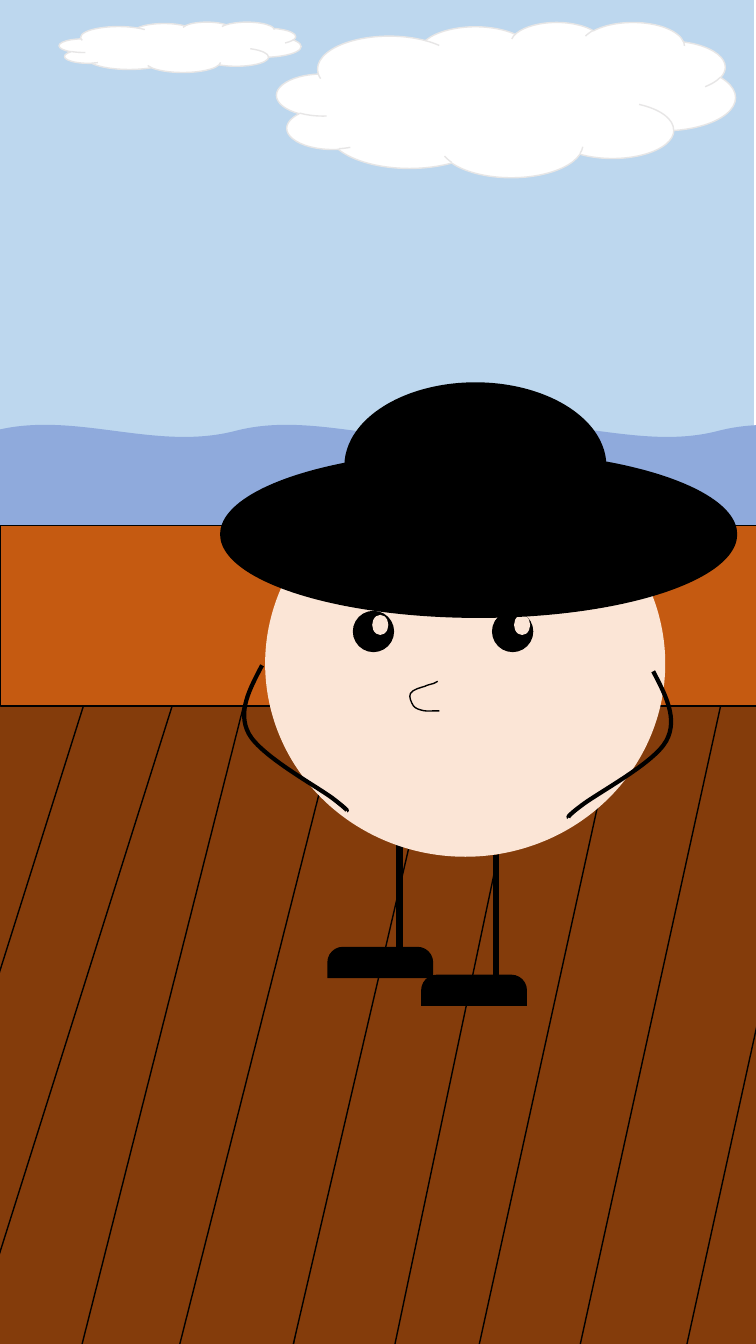
from dataclasses import dataclass

from lxml.etree import SubElement
from pptx import Presentation
from pptx.dml.color import RGBColor
from pptx.enum.shapes import MSO_CONNECTOR, MSO_SHAPE
from pptx.oxml.ns import qn
from pptx.util import Pt


@dataclass(frozen=True)
class Theme:
    sky: str = "BDD7EE"
    cloud: str = "FFFFFF"
    cloud_edge: str = "E7E6E6"
    sea: str = "8FAADC"
    plank: str = "843C0B"
    wall: str = "C55A11"
    skin: str = "FBE5D6"
    ink: str = "000000"
    thin: float = 1
    arm: float = 3
    leg: float = 4.5


THEME = Theme()

# Scenery: left, top, width, height
SKY = (-1.4, -2.2, 540, 960)
CLOUDS = [(197.7, 15.7, 327.6, 110.9), (42.3, 15.7, 172.8, 36)]
WALL = (0.2, 375.4, 541.4, 128.9)
WAVE_SIZE = (344.9, 72)
WAVE_ROWS = [(-4.3, 303.3), (-64.8, 324)]

# Floor planks: left, top, width, height, rotation
PLANKS = [
    (248.4, 494.6, 97.2, 528.5, 10.7),
    (321.1, 489.6, 73.4, 578.9, 11.9),
    (385.9, 486.7, 77, 559.4, 12.4),
    (177.1, 481, 80.6, 535, 13.1),
    (41.8, 486.7, 74.9, 490.3, 14.3),
    (115.2, 470.2, 67.7, 541.4, 14.2),
    (-55.4, 468.7, 58.3, 458.6, 16.2),
    (-5, 484.6, 60.5, 458.6, 17.5),
    (455.8, 496.8, 77, 559.4, 12.4),
    (523.4, 535.7, 77, 559.4, 12.4),
]

# Character
LEG_LENGTH = 98.6
LEG_TOPS = [(354.2, 610.6), (285.4, 596.2)]
HEAD = (189.4, 336.2, 285.8, 275.8)
SHOES = [(233.8, 676.3, 75.6, 22.3), (300.8, 696.2, 75.6, 22.3)]
EYES = [(351.4, 436.3, 29.5, 29.5), (252, 436.3, 29.5, 29.5)]
GLINTS = [(367.2, 439.2, 11.5, 14.4), (265.9, 439.2, 11.5, 14.4)]
HAT = [(246, 273.1, 187.2, 119.5), (157.2, 321.9, 369.4, 119.5)]

# Curves: a start point, then two control points and an end point per segment
RIGHT_ARM = [
    (466.6, 479.5),
    (475.2, 496.1), (484.6, 513.4), (475.9, 529.2),
    (467.3, 545), (427.7, 565.9), (415.4, 575.3),
    (403.9, 583.9), (406.1, 583.9), (406.1, 583.9),
]
LEFT_ARM = [
    (187.2, 475.2),
    (178.6, 491.8), (169.2, 508.3), (177.8, 524.2),
    (186.5, 540), (226.1, 561.6), (237.6, 570.2),
    (249.8, 579.6), (247.7, 578.9), (247.7, 578.9),
]
NOSE = [
    (312.7, 486.7),
    (312, 486.7), (312, 487.4), (309.8, 488.2),
    (308.2, 488.9), (306, 488.9), (303.3, 490.3),
    (301, 491), (294.7, 492.5), (293.2, 495.4),
    (291.8, 497.5), (293.8, 501.8), (295.2, 504),
    (296.6, 506.2), (299.5, 506.9), (302.4, 507.6),
    (305.3, 508.3), (309.6, 507.6), (313.9, 507.8),
]
# Each curve with its frame (left, top, width, height) and line width
CURVES = [
    (RIGHT_ARM, (406.1, 479.5, 73.4, 104.4), THEME.arm),
    (LEFT_ARM, (174.2, 475.2, 73.4, 104.4), THEME.arm),
    (NOSE, (293, 486.7, 20.9, 21.6), THEME.thin),
]


def set_line(line, color, width):
    line.color.rgb = RGBColor.from_string(color)
    line.width = Pt(width)


def add_figure(shapes, kind, box, fill, edge=None, rotation=0):
    shape = shapes.add_shape(kind, *(Pt(length) for length in box))
    shape.shadow.inherit = False
    shape.rotation = rotation
    shape.fill.solid()
    shape.fill.fore_color.rgb = RGBColor.from_string(fill)
    if edge:
        set_line(shape.line, edge, THEME.thin)
    else:
        shape.line.fill.background()
    return shape


def add_leg(shapes, x, top):
    leg = shapes.add_connector(
        MSO_CONNECTOR.STRAIGHT, Pt(x), Pt(top), Pt(x), Pt(top + LEG_LENGTH))
    set_line(leg.line, THEME.ink, THEME.leg)
    SubElement(leg._element.spPr, qn("a:effectLst"))


def add_curve(shapes, nodes, frame, width):
    start, *rest = [(Pt(x), Pt(y)) for x, y in nodes]
    builder = shapes.build_freeform(*start)
    builder.add_line_segments(rest, close=False)
    curve = builder.convert_to_shape()
    curve.shadow.inherit = False
    curve.fill.background()
    set_line(curve.line, THEME.ink, width)

    # Place the outline in its frame
    left, top, frame_width, frame_height = (Pt(length) for length in frame)
    outline = next(curve._element.iter(qn("a:path")))
    outline.set("w", str(frame_width))
    outline.set("h", str(frame_height))
    for point, (x, y) in zip(outline.iter(qn("a:pt")), [start, *rest]):
        point.set("x", str(x - left))
        point.set("y", str(y - top))
    curve.left, curve.top, curve.width, curve.height = left, top, frame_width, frame_height

    # Join every three segments into one cubic curve
    segments = outline.findall(qn("a:lnTo"))
    for first in range(0, len(segments), 3):
        cubic = SubElement(outline, qn("a:cubicBezTo"))
        for segment in segments[first:first + 3]:
            cubic.append(segment[0])
            outline.remove(segment)


def draw_scenery(shapes):
    # Sky and clouds
    add_figure(shapes, MSO_SHAPE.RECTANGLE, SKY, THEME.sky)
    for box in CLOUDS:
        add_figure(shapes, MSO_SHAPE.CLOUD, box, THEME.cloud, THEME.cloud_edge)

    # Sea: two waves side by side in each row
    for left, top in WAVE_ROWS:
        row = shapes.add_group_shape().shapes
        for column in range(2):
            box = (left + column * WAVE_SIZE[0], top, *WAVE_SIZE)
            add_figure(row, MSO_SHAPE.DOUBLE_WAVE, box, THEME.sea)

    # Floor and wall
    for *box, rotation in PLANKS:
        add_figure(shapes, MSO_SHAPE.RECTANGLE, box, THEME.plank, THEME.ink, rotation)
    add_figure(shapes, MSO_SHAPE.RECTANGLE, WALL, THEME.wall, THEME.ink)


def draw_character(shapes):
    # Legs, head and shoes
    for x, top in LEG_TOPS:
        add_leg(shapes, x, top)
    add_figure(shapes, MSO_SHAPE.OVAL, HEAD, THEME.skin)
    for box in SHOES:
        shoe = add_figure(shapes, MSO_SHAPE.ROUND_2_SAME_RECTANGLE, box, THEME.ink)
        shoe.adjustments[0] = 0.5
        shoe.adjustments[1] = 0

    # Arms and nose
    for nodes, frame, width in CURVES:
        add_curve(shapes, nodes, frame, width)

    # Eyes, glints and hat
    for boxes, fill in ((EYES, THEME.ink), (GLINTS, THEME.skin), (HAT, THEME.ink)):
        for box in boxes:
            add_figure(shapes, MSO_SHAPE.OVAL, box, fill)


def main():
    presentation = Presentation()
    presentation.slide_width = Pt(540)
    presentation.slide_height = Pt(960)
    slide = presentation.slides.add_slide(presentation.slide_layouts[6])
    draw_scenery(slide.shapes)
    draw_character(slide.shapes.add_group_shape().shapes)
    presentation.save("out.pptx")


if __name__ == "__main__":
    main()
